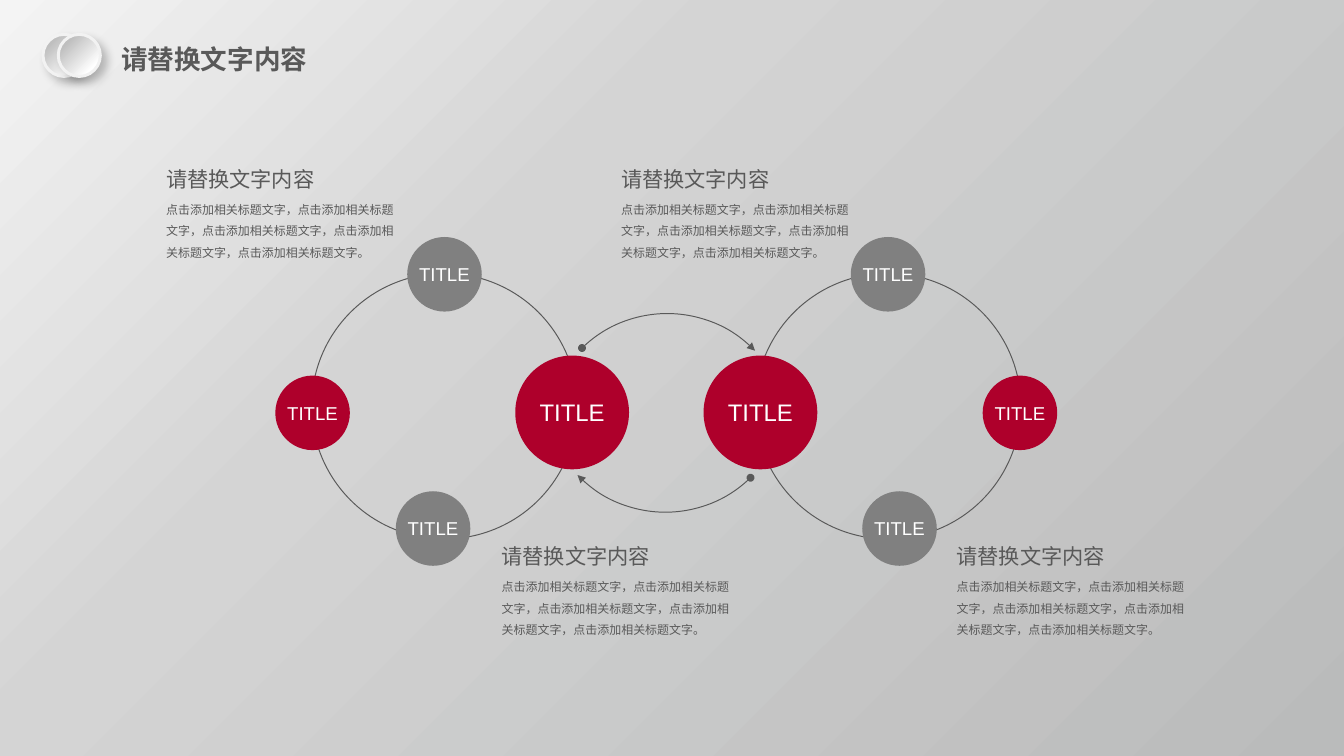
from copy import deepcopy

from lxml import etree
from pptx import Presentation
from pptx.dml.color import RGBColor
from pptx.enum.shapes import MSO_SHAPE
from pptx.enum.text import MSO_ANCHOR, MSO_AUTO_SIZE, PP_ALIGN
from pptx.oxml.ns import qn
from pptx.util import Inches, Pt

ELLIPSE, ARC = MSO_SHAPE.OVAL, MSO_SHAPE.ARC
MIDDLE, CENTER = MSO_ANCHOR.MIDDLE, PP_ALIGN.CENTER
FIT_SHAPE = MSO_AUTO_SIZE.SHAPE_TO_FIT_TEXT

WHITE = RGBColor(0xFF, 0xFF, 0xFF)
RED = RGBColor(0xAE, 0x00, 0x2B)
GRAY = RGBColor(0x80, 0x80, 0x80)
DARK = RGBColor(0x59, 0x59, 0x59)
RIM = RGBColor(0xF2, 0xF2, 0xF2)
BACKGROUND_STOPS = [
    (0, RGBColor(0xF4, 0xF4, 0xF4)),
    (0.35, RGBColor(0xD4, 0xD4, 0xD4)),
    (1, RGBColor(0xBA, 0xBB, 0xBB)),
]
BADGE_STOPS = [(0.2, RGBColor(0xBF, 0xBF, 0xBF)), (0.8, WHITE), (1, WHITE)]

HEADING = "请替换文字内容"
BODY = "，".join(["点击添加相关标题文字"] * 5) + "。"
MIRROR_WIDTH = 13.94

NODE_FORMAT = {"name": "Arial", "size": Pt(14)}
HUB_FORMAT = {"name": "Arial", "size": Pt(18)}
TITLE_FORMAT = {"name": "Calibri", "size": Pt(20), "bold": True}
HEADING_FORMAT = {"name": "Calibri", "size": Pt(16)}
BODY_FORMAT = {"name": "Arial", "size": Pt(9)}


def set_gradient(fill, element, stops):
    fill.gradient()
    fill.gradient_angle = 315
    stop_list = next(element.iter(qn("a:gsLst")))
    stop_list.append(deepcopy(stop_list[-1]))
    for stop, (position, color) in zip(fill.gradient_stops, stops):
        stop.position = position
        stop.color.rgb = color


def write(paragraph, text, color, font_format):
    run = paragraph.add_run()
    run.text = text
    run.font.color.rgb = color
    for name, value in font_format.items():
        setattr(run.font, name, value)


presentation = Presentation()
presentation.slide_width = Inches(14.06)
presentation.slide_height = Inches(7.91)
slide = presentation.slides.add_slide(presentation.slide_layouts[6])
set_gradient(slide.background.fill, slide.element, BACKGROUND_STOPS)

CIRCLES = [
    (3.26, 2.86, 2.78, None, None),
    (5.39, 3.72, 1.19, RED, HUB_FORMAT),
    (2.88, 3.93, 0.78, RED, NODE_FORMAT),
    (4.26, 2.48, 0.78, GRAY, NODE_FORMAT),
    (4.14, 5.14, 0.78, GRAY, NODE_FORMAT),
]
for mirrored in (False, True):
    for left, top, size, color, font_format in CIRCLES:
        if mirrored:
            left = MIRROR_WIDTH - left - size
        circle = slide.shapes.add_shape(
            ELLIPSE, Inches(left), Inches(top), Inches(size), Inches(size))
        circle.shadow.inherit = False
        if color is None:
            circle.fill.background()
            circle.line.color.rgb = DARK
            circle.line.width = Pt(0.75)
            continue
        circle.fill.solid()
        circle.fill.fore_color.rgb = color
        circle.line.fill.background()
        frame = circle.text_frame
        frame.vertical_anchor = MIDDLE
        for side in ("left", "top", "right", "bottom"):
            setattr(frame, f"margin_{side}", 0)
        frame.paragraphs[0].alignment = CENTER
        write(frame.paragraphs[0], "TITLE", WHITE, font_format)

for left, top, rotation in [(5.7, 3.28, 315.9), (5.68, 2.8, 135.9)]:
    arrow = slide.shapes.add_shape(
        ARC, Inches(left), Inches(top), Inches(2.56), Inches(2.56))
    arrow.rotation = rotation
    arrow.shadow.inherit = False
    arrow.fill.background()
    arrow.line.color.rgb = DARK
    arrow.line.width = Pt(0.75)
    line = arrow.element.spPr.find(qn("a:ln"))
    for end, kind in [("a:headEnd", "oval"), ("a:tailEnd", "triangle")]:
        etree.SubElement(line, qn(end), type=kind)

TEXTS = [(1.17, 0.4, 2.17, 0.44, HEADING, TITLE_FORMAT)]
for left, top in [(5.15, 5.64), (9.91, 5.64), (1.64, 1.69), (6.4, 1.69)]:
    TEXTS.append((left, top + 0.3, 2.58, 0.78, BODY, BODY_FORMAT))
    TEXTS.append((left, top, 1.77, 0.37, HEADING, HEADING_FORMAT))

for left, top, width, height, text, font_format in TEXTS:
    box = slide.shapes.add_textbox(
        Inches(left), Inches(top), Inches(width), Inches(height))
    frame = box.text_frame
    frame.word_wrap = text == BODY
    frame.auto_size = FIT_SHAPE
    if text == BODY:
        frame.paragraphs[0].line_spacing = 1.5
    write(frame.paragraphs[0], text, DARK, font_format)

for left in (0.45, 0.61):
    badge = slide.shapes.add_shape(
        ELLIPSE, Inches(left), Inches(0.36), Inches(0.44), Inches(0.44))
    set_gradient(badge.fill, badge.element, BADGE_STOPS)
    badge.line.color.rgb = RIM
    badge.line.width = Pt(2.25)
    badge.shadow.inherit = False
    effects = badge.element.spPr.find(qn("a:effectLst"))
    shadow = etree.SubElement(
        effects, qn("a:outerShdw"), blurRad=str(Pt(7)), dist=str(Pt(5.9)),
        dir="2700000", algn="tl", rotWithShape="0")
    shadow_color = etree.SubElement(shadow, qn("a:srgbClr"), val="000000")
    etree.SubElement(shadow_color, qn("a:alpha"), val="23000")

presentation.save("out.pptx")
